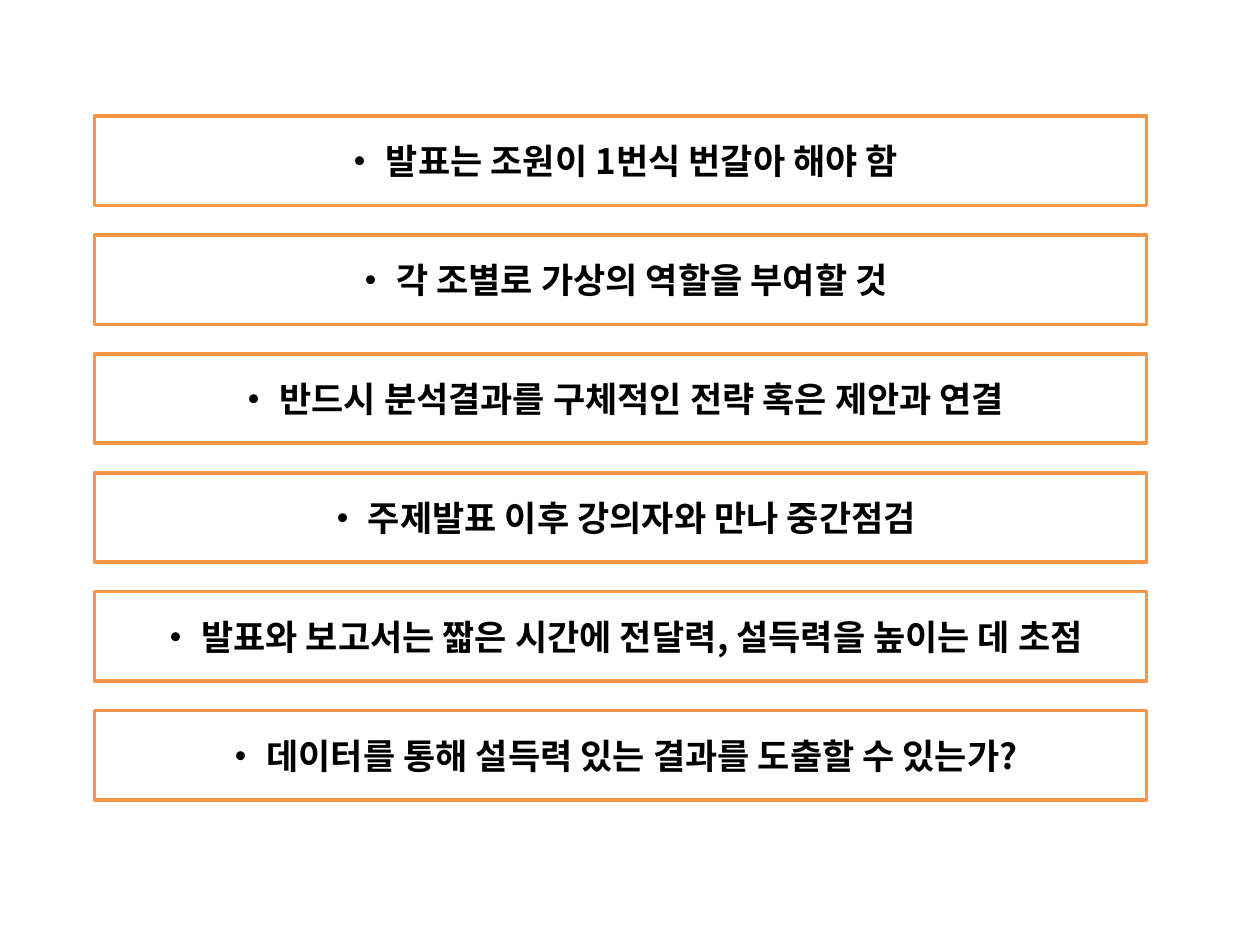
from pptx import Presentation
from pptx.dml.color import RGBColor
from pptx.enum.shapes import MSO_SHAPE
from pptx.enum.text import MSO_ANCHOR, PP_ALIGN
from pptx.oxml.ns import qn
from pptx.util import Inches, Pt
from lxml import etree

COLORS = {"fill": "FFFFFF", "border": "F79646", "text": "000000"}
FONT = "Noto Sans CJK KR"
GUIDELINES = [
    "발표는 조원이 1번식 번갈아 해야 함",
    "각 조별로 가상의 역할을 부여할 것",
    "반드시 분석결과를 구체적인 전략 혹은 제안과 연결",
    "주제발표 이후 강의자와 만나 중간점검",
    "발표와 보고서는 짧은 시간에 전달력, 설득력을 높이는 데 초점",
    "데이터를 통해 설득력 있는 결과를 도출할 수 있는가?",
]


def color(name):
    return RGBColor.from_string(COLORS[name])


def add_guideline(s, text, left, top, width, height):
    """Outlined box with one centred guideline."""
    sp = s.shapes.add_shape(MSO_SHAPE.RECTANGLE, Inches(left), Inches(top),
                            Inches(width), Inches(height))
    sp.shadow.inherit = False
    sp.fill.solid()
    sp.fill.fore_color.rgb = color("fill")
    sp.line.color.rgb = color("border")
    sp.line.width = Pt(2)

    tf = sp.text_frame
    tf.word_wrap = True
    tf.vertical_anchor = MSO_ANCHOR.MIDDLE
    p = tf.paragraphs[0]
    p.alignment = PP_ALIGN.CENTER
    r = p.add_run()
    r.text = f"• {text}"
    r.font.name = FONT
    r.font.size = Pt(20)
    r.font.bold = True
    r.font.color.rgb = color("text")
    # Korean glyphs use the East Asian font slot
    ea = etree.SubElement(r.font._element, qn("a:ea"))
    ea.set("typeface", FONT)


def add_guideline_stack(s, left, top, width, height, box_height):
    """Equal boxes spread evenly from the top to the bottom of the area."""
    step = (height - box_height) / (len(GUIDELINES) - 1)
    for i, text in enumerate(GUIDELINES):
        add_guideline(s, text, left, top + i * step, width, box_height)


prs = Presentation()
prs.slide_width = Inches(10)
prs.slide_height = Inches(7.5)
s = prs.slides.add_slide(prs.slide_layouts[6])
add_guideline_stack(s, 0.75, 0.92, 8.35, 5.43, 0.71)
prs.save("out.pptx")
